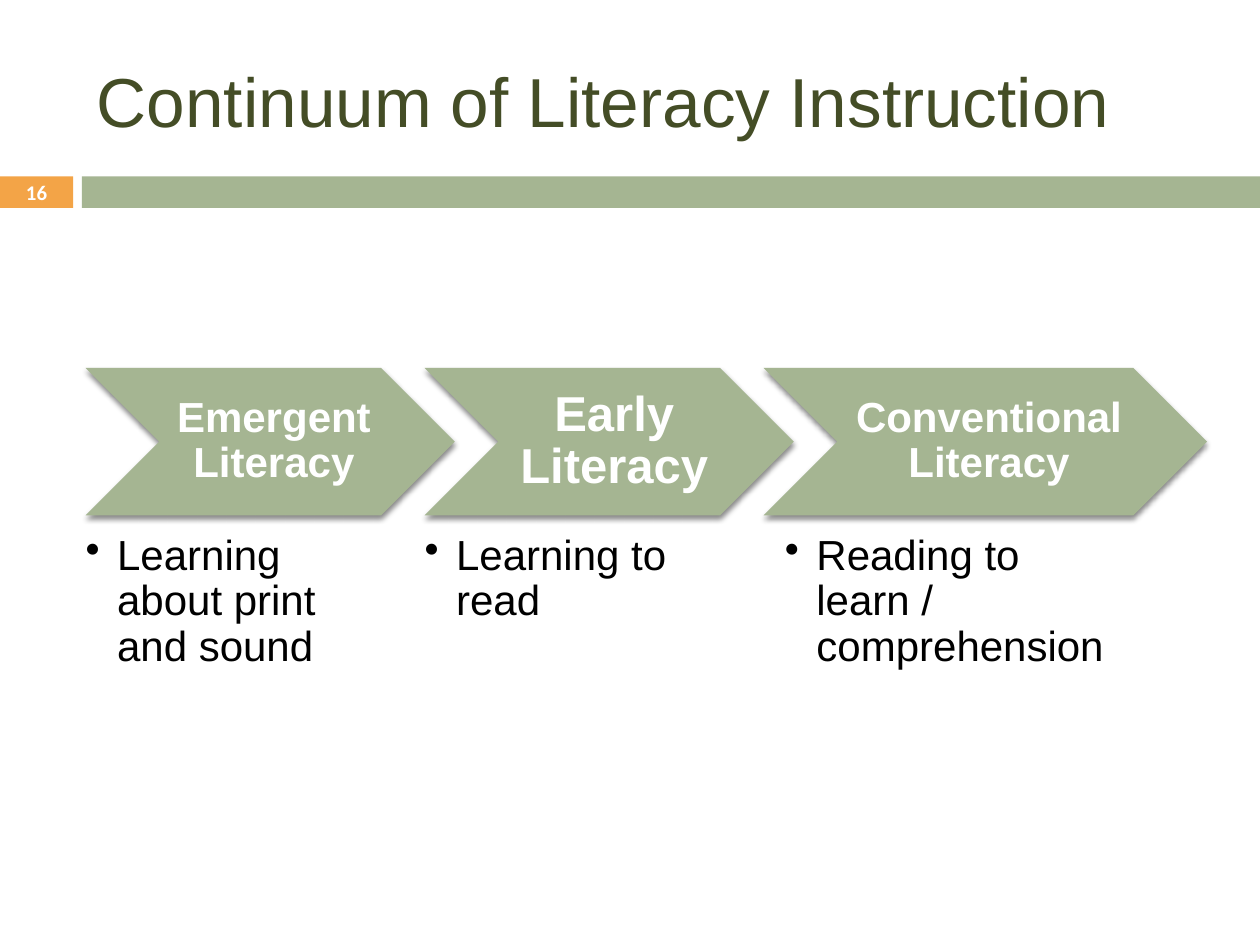
import pptx
import pptx.util
import pptx.dml.color
import pptx.enum.shapes
import pptx.enum.text
import pptx.oxml
import pptx.oxml.ns
from dataclasses import dataclass

Inches = pptx.util.Inches
Shapes = pptx.enum.shapes.MSO_SHAPE
Align = pptx.enum.text.PP_ALIGN
Anchor = pptx.enum.text.MSO_ANCHOR


@dataclass(frozen=True)
class Theme:
    green: str = "A5B592"
    orange: str = "F3A447"
    olive: str = "444D26"
    white: str = "FFFFFF"
    black: str = "000000"
    title_size: float = 39.6
    body_size: float = 24
    large_size: float = 28
    number_size: float = 11.9
    font: str = "Arial"
    number_font: str = "Calibri"


theme = Theme()
deck = pptx.Presentation()
deck.slide_width, deck.slide_height = Inches(10), Inches(7.5)
page = deck.slides.add_slide(deck.slide_layouts[6])


def add_block(kind, left, top, width, height, color):
    block = page.shapes.add_shape(kind, Inches(left), Inches(top), Inches(width), Inches(height))
    block.shadow.inherit = False
    block.fill.solid()
    block.fill.fore_color.rgb = pptx.dml.color.RGBColor.from_string(color)
    block.line.fill.background()
    return block


def add_text(text, place, size, color, font=theme.font, bold=False, align=Align.LEFT,
             anchor=Anchor.MIDDLE, margins=(0.1, 0.05, 0.1, 0.05), spacing=1, bullet=False):
    box = page.shapes.add_textbox(*[Inches(length) for length in place])
    frame = box.text_frame
    frame.word_wrap = True
    frame.vertical_anchor = anchor
    for side, margin in zip(("left", "top", "right", "bottom"), margins):
        setattr(frame, f"margin_{side}", Inches(margin))
    para = frame.paragraphs[0]
    para.alignment = align
    para.line_spacing = spacing
    if bullet:
        properties = para._p.get_or_add_pPr()
        properties.set("marL", str(Inches(0.25)))
        properties.set("indent", str(-Inches(0.25)))
        mark = pptx.oxml.parse_xml(f'<a:buChar {pptx.oxml.ns.nsdecls("a")} char="•"/>')
        properties.append(mark)
    span = para.add_run()
    span.text = text
    for name, value in {"size": pptx.util.Pt(size), "name": font, "bold": bold}.items():
        setattr(span.font, name, value)
    span.font.color.rgb = pptx.dml.color.RGBColor.from_string(color)


add_block(Shapes.RECTANGLE, 0, 1.4, 0.58, 0.25, theme.orange)
add_block(Shapes.RECTANGLE, 0.65, 1.4, 9.35, 0.25, theme.green)
add_text("Continuum of Literacy Instruction", (0.67, 0.25, 8.92, 1.08), theme.title_size, theme.olive)

stages = [
    ("Emergent Literacy", theme.body_size, 0.1, 2.93, "Learning about print and sound", 0, 2.34),
    ("Early Literacy", theme.large_size, 0.12, 2.93, "Learning to read", 0, 2.34),
    ("Conventional Literacy", theme.body_size, 0.1, 3.52, "Reading to learn / comprehension", 0.17, 2.6),
]
chevron_top, chevron_height, overlap = 2.92, 1.17, 0.24
left = 0.68
for heading, size, inset, width, detail, shift, detail_width in stages:
    chevron = add_block(Shapes.CHEVRON, left, chevron_top, width, chevron_height, theme.green)
    effects = chevron._element.spPr.find(pptx.oxml.ns.qn("a:effectLst"))
    effects.append(pptx.oxml.parse_xml(
        f'<a:outerShdw {pptx.oxml.ns.nsdecls("a")} blurRad="{pptx.util.Pt(3)}" '
        f'dist="{pptx.util.Pt(2.4)}" dir="5400000" rotWithShape="0">'
        f'<a:srgbClr val="{theme.black}"><a:alpha val="45000"/></a:srgbClr></a:outerShdw>'))
    add_text(heading, (left + chevron_height / 2, chevron_top, width - chevron_height, chevron_height),
             size, theme.white, bold=True, align=Align.CENTER,
             margins=(inset, 0.04, 0.04, 0.04), spacing=0.9)
    add_text(detail, (left + shift, 4.24, detail_width, 1.26), theme.body_size, theme.black,
             anchor=Anchor.TOP, margins=(0, 0, 0, 0), spacing=0.9, bullet=True)
    left += width - overlap

add_text("16", (0, 1.39, 0.58, 0.27), theme.number_size, theme.white,
         font=theme.number_font, bold=True, align=Align.CENTER)

deck.save("out.pptx")
